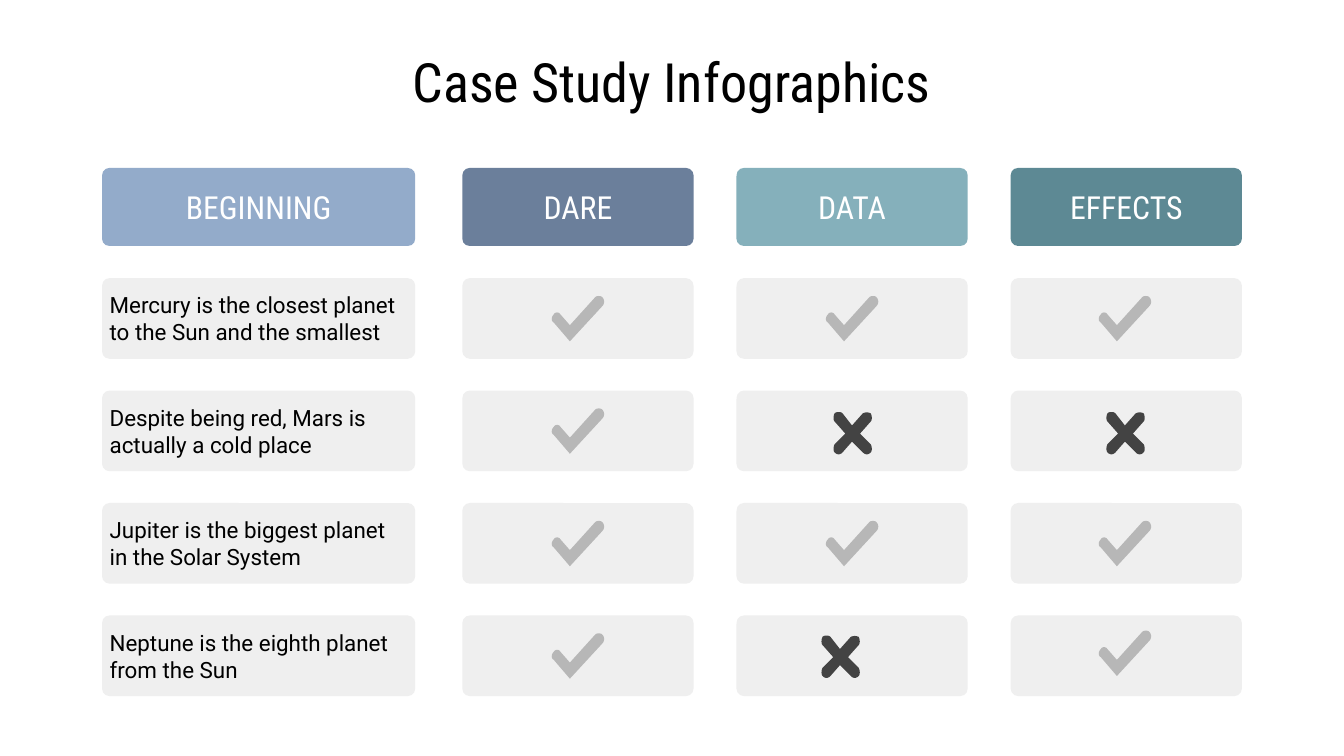
import dataclasses

import pptx
import pptx.dml.color
import pptx.enum.shapes
import pptx.enum.text
import pptx.util

Inches = pptx.util.Inches
ALIGN = pptx.enum.text.PP_ALIGN


@dataclasses.dataclass(frozen=True)
class Theme:
    heading_font: str = "Roboto Condensed"
    body_font: str = "Roboto"
    title_size: int = 29
    header_size: int = 17
    body_size: int = 12
    dark: str = "000000"
    light: str = "FFFFFF"
    panel: str = "EFEFEF"
    check: str = "B7B7B7"
    cross: str = "434343"


THEME = Theme()

# Grid, in inches
SLIDE_WIDTH = 10
SLIDE_HEIGHT = SLIDE_WIDTH * 9 / 16
HEADER_TOP, HEADER_HEIGHT = 1.25, 0.58
ROW_TOP, LAST_ROW_TOP, ROW_HEIGHT = 2.07, 4.58, 0.6
TOPIC_LEFT, TOPIC_WIDTH = 0.76, 2.33
MARK_LEFT, MARK_WIDTH, MARK_PITCH = 3.44, 1.72, 2.04
LABEL_HEIGHT = 0.25
CORNER = 0.093

# Header text, colour, left, width
COLUMNS = [("BEGINNING", "93ABCA", TOPIC_LEFT, TOPIC_WIDTH)] + [
    (name, color, MARK_LEFT + index * MARK_PITCH, MARK_WIDTH)
    for index, (name, color) in enumerate(
        [("DARE", "6B7F9B"), ("DATA", "85B0BB"), ("EFFECTS", "5D8994")])
]

# Topic and its marks: v is a check, x is a cross
ROWS = [
    ("Mercury is the closest planet to the Sun and the smallest", "vvv"),
    ("Despite being red, Mars is actually a cold place", "vxx"),
    ("Jupiter is the biggest planet in the Solar System", "vvv"),
    ("Neptune is the eighth planet from the Sun", "vxv"),
]
# Marks of each column sit slightly apart; two of them are off their row too
COLUMN_NUDGES = [0, 0, -0.01]
NUDGES = {(3, 1): (-0.09, -0.01), (3, 2): (0, -0.02)}

# Outlines in hundredths of an inch: one point is a line, three are a curve
CHECK_OUTLINE = [
    [(14, 34)], [(2, 20)], [(0, 19), (0, 16), (2, 14)],
    [(3, 12), (6, 12), (7, 14)], [(14, 22)], [(33, 1)],
    [(34, 0), (37, 0), (38, 1)], [(40, 3), (40, 6), (38, 8)],
]
CROSS_OUTLINE = [
    [(4, 0)], [(5, 0), (6, 0), (7, 1)], [(14, 10)], [(22, 1)],
    [(24, 0), (26, 0), (28, 1)], [(29, 3), (29, 6), (28, 7)],
    [(20, 16)], [(28, 24)],
    [(29, 26), (29, 29), (28, 30)], [(26, 32), (24, 32), (22, 30)],
    [(14, 22)], [(7, 30)],
    [(5, 32), (3, 32), (1, 30)], [(0, 29), (0, 26), (1, 24)],
    [(9, 16)], [(1, 7)],
    [(0, 6), (0, 3), (1, 1)], [(2, 0), (3, 0), (4, 0)],
]
# Outline, colour, offset within the cell
MARKS = {
    "v": (CHECK_OUTLINE, THEME.check, 0.66, 0.13),
    "x": (CROSS_OUTLINE, THEME.cross, 0.72, 0.16),
}


def paint(shape, color):
    shape.shadow.inherit = False
    shape.fill.solid()
    shape.fill.fore_color.rgb = pptx.dml.color.RGBColor.from_string(color)
    shape.line.fill.background()


def write_text(shape, text, *, font, size, color, align=ALIGN.LEFT,
               margin_x=0.04, margin_y=0.02):
    frame = shape.text_frame
    frame.word_wrap = True
    frame.vertical_anchor = pptx.enum.text.MSO_ANCHOR.MIDDLE
    frame.margin_left = frame.margin_right = Inches(margin_x)
    frame.margin_top = frame.margin_bottom = Inches(margin_y)
    paragraph = frame.paragraphs[0]
    paragraph.alignment = align
    run = paragraph.add_run()
    run.text = text
    run.font.name = font
    run.font.size = pptx.util.Pt(size)
    run.font.color.rgb = pptx.dml.color.RGBColor.from_string(color)


def add_text(slide, text, left, top, width, height, **text_format):
    box = slide.shapes.add_textbox(
        Inches(left), Inches(top), Inches(width), Inches(height))
    write_text(box, text, **text_format)


def add_panel(slide, left, top, width, height, color):
    panel = slide.shapes.add_shape(
        pptx.enum.shapes.MSO_SHAPE.ROUNDED_RECTANGLE,
        Inches(left), Inches(top), Inches(width), Inches(height))
    panel.adjustments[0] = CORNER
    paint(panel, color)
    return panel


def curve_points(start, first, second, end, steps=6):
    """Points along a cubic curve, without its start."""
    for step in range(1, steps + 1):
        t = step / steps
        u = 1 - t
        yield tuple(
            u**3 * a + 3 * u * u * t * b + 3 * u * t * t * c + t**3 * d
            for a, b, c, d in zip(start, first, second, end))


def add_mark(slide, kind, cell_left, cell_top):
    outline, color, offset_x, offset_y = MARKS[kind]
    points = []
    for part in outline:
        points.extend(part if len(part) == 1 else curve_points(points[-1], *part))
    points = [(Inches(x / 100), Inches(y / 100)) for x, y in points]
    builder = slide.shapes.build_freeform(*points[0])
    builder.add_line_segments(points[1:], close=True)
    mark = builder.convert_to_shape(
        Inches(cell_left + offset_x), Inches(cell_top + offset_y))
    paint(mark, color)


def add_header(slide, text, color, left, width):
    add_panel(slide, left, HEADER_TOP, width, HEADER_HEIGHT, color)
    label_top = HEADER_TOP + (HEADER_HEIGHT - LABEL_HEIGHT) / 2
    add_text(slide, text, left, label_top, width, LABEL_HEIGHT,
             font=THEME.heading_font, size=THEME.header_size,
             color=THEME.light, align=ALIGN.CENTER)


def add_row(slide, row, topic, marks):
    top = ROW_TOP + row * (LAST_ROW_TOP - ROW_TOP) / (len(ROWS) - 1)
    panel = add_panel(slide, TOPIC_LEFT, top, TOPIC_WIDTH, ROW_HEIGHT, THEME.panel)
    write_text(panel, topic, font=THEME.body_font, size=THEME.body_size,
               color=THEME.dark)
    for column, kind in enumerate(marks):
        left = MARK_LEFT + column * MARK_PITCH
        add_panel(slide, left, top, MARK_WIDTH, ROW_HEIGHT, THEME.panel)
        right, down = NUDGES.get((row, column), (0, 0))
        add_mark(slide, kind, left + COLUMN_NUDGES[column] + right, top + down)


def main():
    presentation = pptx.Presentation()
    presentation.slide_width = Inches(SLIDE_WIDTH)
    presentation.slide_height = Inches(SLIDE_HEIGHT)
    slide = presentation.slides.add_slide(presentation.slide_layouts[6])

    # Title
    add_text(slide, "Case Study Infographics", 0.5, 0.45, 9, 0.3,
             font=THEME.heading_font, size=THEME.title_size, color=THEME.dark,
             align=ALIGN.CENTER, margin_x=0.1, margin_y=0.1)

    # Column headers
    for column in COLUMNS:
        add_header(slide, *column)

    # Topics with their marks
    for row, (topic, marks) in enumerate(ROWS):
        add_row(slide, row, topic, marks)

    presentation.save("out.pptx")


if __name__ == "__main__":
    main()
